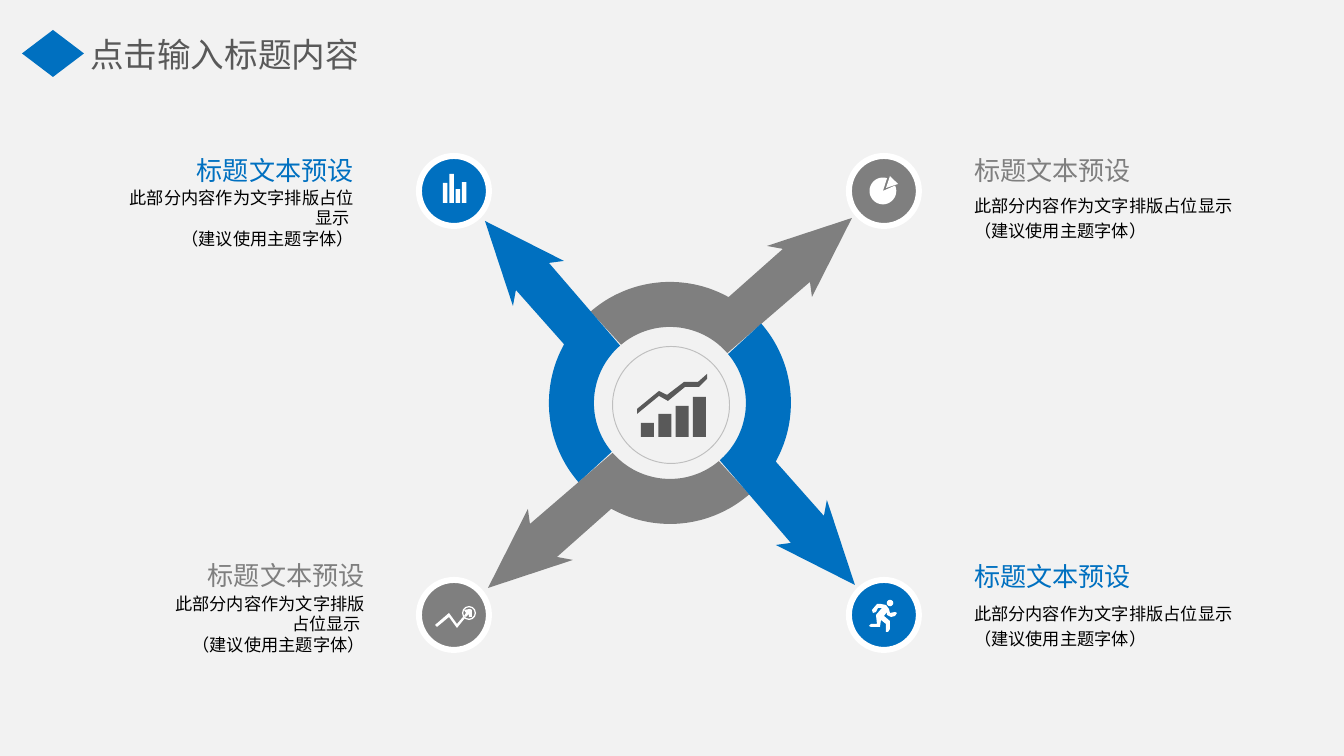
"""Build a slide with four arrows leaving a ring, each with a badge and a label."""
import math
from dataclasses import dataclass

from pptx import Presentation
from pptx import util as u
from pptx.dml.color import RGBColor
from pptx.enum import shapes, text
from pptx.oxml.ns import qn

SCALE = 914400 / 134.4
FINE = 100


@dataclass(frozen=True)
class Theme:
    """Colours, font and type sizes of the slide."""
    back: str = "F2F2F2"
    blue: str = "0070C0"
    gray: str = "7F7F7F"
    dark: str = "595959"
    rule: str = "BFBFBF"
    white: str = "FFFFFF"
    black: str = "000000"
    font: str = "Noto Sans CJK SC"
    title: float = 18
    heading: float = 14
    body: float = 9.2


THEME = Theme()
SHAPE = shapes.MSO_SHAPE
LEFT, RIGHT = text.PP_ALIGN.LEFT, text.PP_ALIGN.RIGHT


def px(length):
    """Turn pixels into EMU."""
    return u.Emu(round(length * SCALE))


def write(box, words, *, size, color, align=LEFT, inset=(0, 0, 0, 0), wrap=True, spacing=1.0):
    """Put formatted text into a shape."""
    frame = box.text_frame
    frame.auto_size = text.MSO_AUTO_SIZE.NONE
    frame.word_wrap = wrap
    frame.vertical_anchor = text.MSO_ANCHOR.MIDDLE
    frame.margin_left, frame.margin_top, frame.margin_right, frame.margin_bottom = map(px, inset)
    para = frame.paragraphs[0]
    para.text = words
    para.alignment = align
    para.line_spacing = spacing
    for span in para.runs:
        span.font.size = u.Pt(size)
        span.font.name = THEME.font
        span.font.color.rgb = RGBColor.from_string(color)
        east = span.font._element.makeelement(qn("a:ea"), {"typeface": THEME.font})
        span.font._element.find(qn("a:latin")).addnext(east)


def arc(center, radius, start, end, steps=40):
    """List points on a circle from one angle to another, in degrees."""
    angles = (math.radians(start + (end - start) * i / steps) for i in range(steps + 1))
    return [(center[0] + radius * math.cos(a), center[1] + radius * math.sin(a)) for a in angles]


class Canvas:
    """Draws elements on the current slide in one style."""

    def __init__(self, slide, theme):
        self.slide, self.theme = slide, theme
        slide.background.fill.solid()
        slide.background.fill.fore_color.rgb = RGBColor.from_string(theme.back)

    def paint(self, shape, fill, line=None):
        """Give a shape a flat fill and an optional thin line."""
        shape.shadow.inherit = False
        shape.fill.solid()
        shape.fill.fore_color.rgb = RGBColor.from_string(fill)
        if line:
            shape.line.color.rgb = RGBColor.from_string(line)
            shape.line.width = u.Pt(0.5)
        else:
            shape.line.fill.background()
        return shape

    def preset(self, kind, left, top, width, height, fill, line=None):
        """Add a preset shape."""
        shape = self.slide.shapes.add_shape(kind, px(left), px(top), px(width), px(height))
        return self.paint(shape, fill, line)

    def disc(self, center, size, fill, line=None, kind=SHAPE.OVAL):
        """Add a round shape about a centre."""
        left, top = (c - size / 2 for c in center)
        return self.preset(kind, left, top, size, size, fill, line)

    def hoop(self, center, size, thickness):
        """Add a white ring about a centre."""
        self.disc(center, size, self.theme.white, kind=SHAPE.DONUT).adjustments[0] = thickness / size

    def polygon(self, points, fill):
        """Add a closed outline."""
        fine = [(round(x * FINE), round(y * FINE)) for x, y in points]
        builder = self.slide.shapes.build_freeform(*fine[0], scale=SCALE / FINE)
        builder.add_line_segments(fine[1:], close=True)
        self.paint(builder.convert_to_shape(), fill)

    def bars(self, left, step, width, base, heights, fill):
        """Add columns that stand on one base line."""
        for i, height in enumerate(heights):
            self.preset(SHAPE.RECTANGLE, left + i * step, base - height, width, height, fill)

    def badge(self, center, fill):
        """Add a coloured disc with a white rim."""
        self.disc(center, 68, fill)
        self.hoop(center, 76, 6)

    def textbox(self, left, top, width, height, words, **style):
        """Add a text box."""
        box = self.slide.shapes.add_textbox(px(left), px(top), px(width), px(height))
        write(box, words, **style)

    def title(self, left, top, width, height, words):
        """Place and fill the title placeholder."""
        box = self.slide.shapes.title
        box.left, box.top, box.width, box.height = map(px, (left, top, width, height))
        write(box, words, size=self.theme.title, color=self.theme.dark, inset=(0, 7, 0, 7))


HUB = (670, 403)
BADGES = [(884, 191), (454, 191), (454, 615), (884, 615)]
COLORS = [THEME.gray, THEME.blue, THEME.gray, THEME.blue]
ARROW = ([(182, -185), (97, -157), (113, -154)] + arc((0, 0), 121, -61, -131)
         + arc((0, 0), 76, -130, -41) + [(140, -121), (142, -106)])
LABELS = [
    dict(head=(922, 153, 321), body=(922, 185, 321), inset=(52, 0, 0, 0), align=LEFT, spacing=1.2),
    dict(head=(163, 153, 254), body=(113, 187, 304), inset=(0, 0, 63, 0), align=RIGHT, spacing=1.0),
    dict(head=(163, 558, 254), body=(163, 593, 254), inset=(0, 0, 52, 0), align=RIGHT, spacing=1.0),
    dict(head=(922, 559, 321), body=(922, 593, 321), inset=(52, 0, 0, 0), align=LEFT, spacing=1.2),
]
TREND = [(698, 382), (684, 382), (667, 395), (659, 391), (637, 409), (637, 414),
         (659, 396), (668, 401), (685, 387), (699, 387), (707, 379), (707, 374)]
ZIGZAG = [(463, 617), (457, 624), (449, 613), (435, 625), (437, 627), (449, 617), (457, 628), (465, 618)]
POINTER = [(464, 616), (466, 613), (464, 610), (470, 609), (472, 610), (472, 617),
           (469, 617), (469, 614), (466, 617)]
RUNNER = [(887, 615), (891, 617), (895, 616), (897, 613), (895, 612), (890, 613), (889, 609),
          (886, 605), (881, 604), (877, 604), (872, 610), (873, 613), (876, 612), (878, 608),
          (882, 608), (876, 615), (877, 624), (871, 624), (869, 626), (871, 627), (880, 627),
          (881, 620), (886, 624), (886, 632), (888, 632), (890, 629), (890, 621), (884, 616),
          (887, 612)]


def draw_arrows(canvas):
    """Draw one arrow per quarter turn about the hub."""
    points = ARROW
    for color in COLORS:
        canvas.polygon([(HUB[0] + x, HUB[1] + y) for x, y in points], color)
        points = [(y, -x) for x, y in points]


def draw_icons(canvas):
    """Draw the badge icons and the chart in the hub."""
    white, dark = THEME.white, THEME.dark
    canvas.bars(443, 6.33, 4.5, 203, (20, 29, 14, 21), white)
    pie = (883, 191)
    canvas.polygon([pie] + arc(pie, 13.4, -72, -384), white)
    canvas.polygon([(890, 176), (898, 184), (886, 188)], white)
    canvas.polygon(ZIGZAG, white)
    canvas.hoop((469, 613), 14, 1.3)
    canvas.polygon(POINTER, white)
    canvas.disc((890, 603), 6.5, white)
    canvas.polygon(RUNNER, white)
    canvas.disc((671, 405), 117, THEME.back, THEME.rule)
    canvas.bars(641, 17.33, 13, 437, (14, 23, 31, 40), dark)
    canvas.polygon(TREND, dark)


def main():
    """Build and save the deck."""
    deck = Presentation()
    deck.slide_width, deck.slide_height = px(1344), px(756)
    canvas = Canvas(deck.slides.add_slide(deck.slide_layouts[5]), THEME)
    canvas.title(90, 26, 313, 56, "点击输入标题内容")
    canvas.preset(SHAPE.DIAMOND, 22, 30, 62, 47, THEME.blue)
    draw_arrows(canvas)
    for center, color in zip(BADGES, COLORS):
        canvas.badge(center, color)
    draw_icons(canvas)
    for label, color in zip(LABELS, COLORS):
        shared = dict(inset=label["inset"], align=label["align"])
        canvas.textbox(*label["head"], 34, "标题文本预设", size=THEME.heading, color=color,
                       wrap=False, **shared)
        canvas.textbox(*label["body"], 62, "此部分内容作为文字排版占位显示 \v（建议使用主题字体）",
                       size=THEME.body, color=THEME.black, spacing=label["spacing"], **shared)
    deck.save("out.pptx")


if __name__ == "__main__":
    main()
